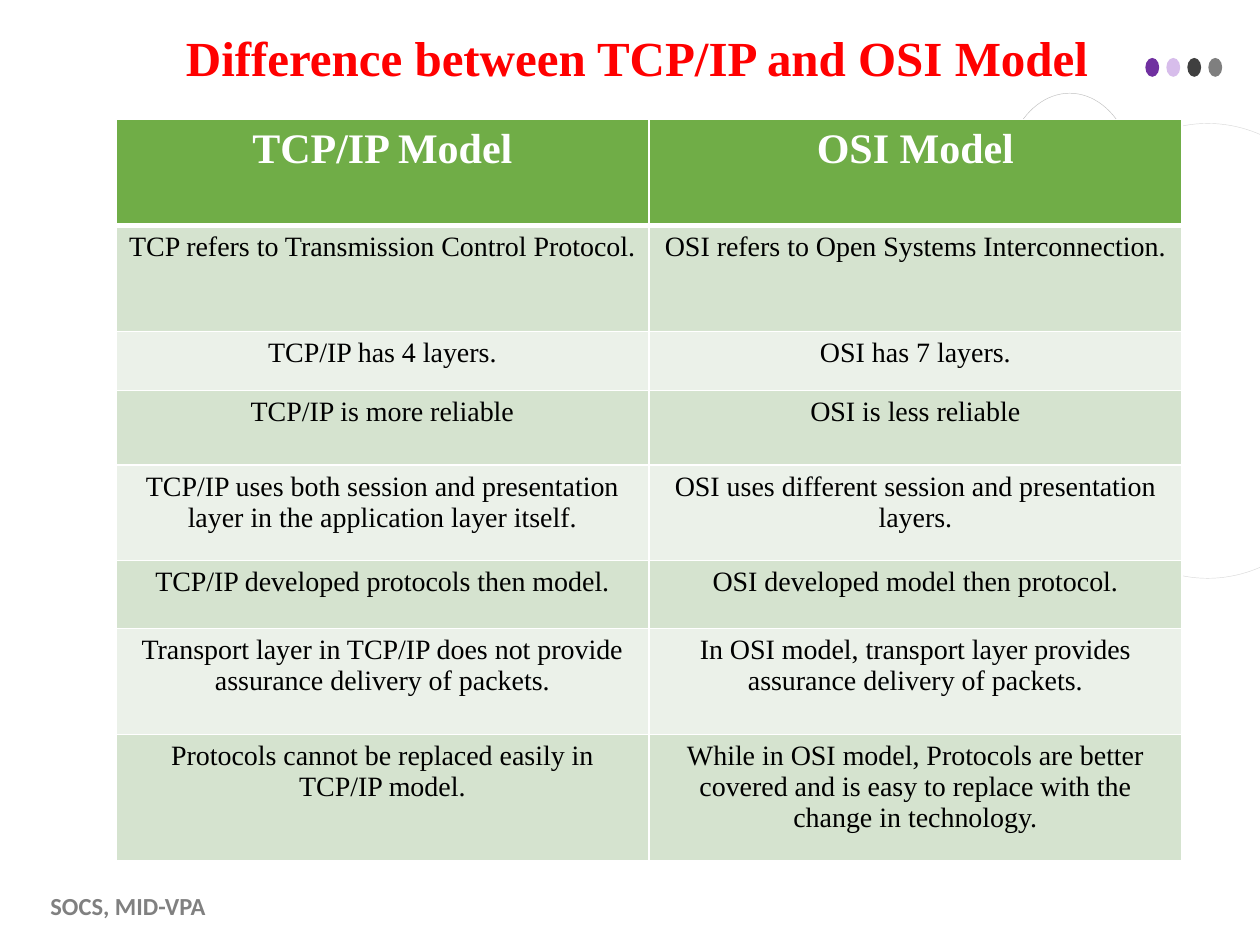
from pptx import Presentation
from pptx.dml.color import RGBColor
from pptx.enum.shapes import MSO_SHAPE
from pptx.enum.text import MSO_ANCHOR, MSO_AUTO_SIZE, PP_ALIGN
from pptx.oxml.ns import qn
from pptx.util import Inches, Pt
from lxml.etree import SubElement as Sub

HUES = {
    "red": "FF0000", "white": "FFFFFF", "black": "000000", "gray": "808080",
    "head": "70AD47", "dark": "D5E3CF", "light": "EBF1E9",
    "plum": "7030A0", "lilac": "C7A2E3", "coal": "404040", "ash": "7F7F7F",
    "pale": "D9D9D9", "rim": "BFBFBF",
}
SERIF = "Times New Roman"
STYLES = {
    "title": {"name": SERIF, "size": Pt(28), "bold": True},
    "foot": {"name": "Calibri", "size": Pt(14), "bold": True},
    "head": {"name": SERIF, "size": Pt(24), "bold": True},
    "cell": {"name": SERIF, "size": Pt(16), "bold": False},
}
ROWS = [
    (0.84, "TCP/IP Model", "OSI Model"),
    (0.84, "TCP refers to Transmission Control Protocol.",
     "OSI refers to Open Systems Interconnection."),
    (0.47, "TCP/IP has 4 layers.", "OSI has 7 layers."),
    (0.59, "TCP/IP is more reliable", "OSI is less reliable"),
    (0.76, "TCP/IP uses both session and presentation layer in the "
     "application layer itself.",
     "OSI uses different session and presentation layers."),
    (0.54, "TCP/IP developed protocols then model.",
     "OSI developed model then protocol."),
    (0.84, "Transport layer in TCP/IP does not provide assurance delivery "
     "of packets.",
     "In OSI model, transport layer provides assurance delivery of packets."),
    (1, "Protocols cannot be replaced easily in TCP/IP model.",
     "While in OSI model, Protocols are better covered and is easy to "
     "replace with the change in technology."),
]


def rgb(hue):
    return RGBColor.from_string(HUES[hue])


def write(frame, text, style, hue, align):
    frame.text = text
    para = frame.paragraphs[0]
    para.alignment = align
    font = para.runs[0].font
    for key, val in STYLES[style].items():
        setattr(font, key, val)
    font.color.rgb = rgb(hue)
    return para


def place(shape, box):
    for key, val in zip(("left", "top", "width", "height"), box):
        setattr(shape, key, Inches(val))


def add_oval(slide, box, fill=None, line=None):
    oval = slide.shapes.add_shape(MSO_SHAPE.OVAL, *map(Inches, box))
    oval.shadow.inherit = False
    if fill:
        oval.fill.solid()
        oval.fill.fore_color.rgb = rgb(fill)
    else:
        oval.fill.background()
    if line:
        oval.line.color.rgb = rgb(line)
        oval.line.width = Pt(0.25)
    else:
        oval.line.fill.background()
    return oval


def add_dots(slide, box):
    left, top, width, height = box
    size = 0.11
    hues = ("plum", "lilac", "coal", "ash")
    step = (width - size) / (len(hues) - 1)
    for i, hue in enumerate(hues):
        dot = add_oval(slide, (left + i * step, top, size, height), fill=hue)
        if hue == "lilac":
            tint = dot.fill._xPr.find(".//" + qn("a:srgbClr"))
            Sub(tint, qn("a:alpha"), val="70000")


def set_text(holder, box, text, style, hue, align, anchor, inset):
    place(holder, box)
    frame = holder.text_frame
    frame.word_wrap = True
    frame.auto_size = MSO_AUTO_SIZE.NONE
    frame.vertical_anchor = anchor
    for side in ("left", "right", "top", "bottom"):
        setattr(frame, "margin_" + side, Inches(inset))
    para = write(frame, text, style, hue, align)
    para.line_spacing = 0.9
    para.space_before = Pt(0)
    return para


def set_edge(cell, side, width):
    line = Sub(cell._tc.get_or_add_tcPr(), qn("a:" + side), w=str(Pt(width)))
    fill = Sub(line, qn("a:solidFill"))
    Sub(fill, qn("a:srgbClr"), val=HUES["white"])


def add_grid(slide, box):
    table = slide.shapes.add_table(len(ROWS), 2, *map(Inches, box)).table
    for col in table.columns:
        col.width = Inches(box[2] / 2)
    for r, (height, *texts) in enumerate(ROWS):
        table.rows[r].height = Inches(height)
        style, ink, back = (("head", "white", "head") if r == 0 else
                            ("cell", "black", "dark" if r % 2 else "light"))
        for c, text in enumerate(texts):
            cell = table.cell(r, c)
            write(cell.text_frame, text, style, ink, PP_ALIGN.CENTER)
            # A thick rule parts the heading from the rows
            for side in ("lnL", "lnR", "lnT", "lnB"):
                thick = (r, side) in ((0, "lnB"), (1, "lnT"))
                set_edge(cell, side, 3 if thick else 1)
            cell.fill.solid()
            cell.fill.fore_color.rgb = rgb(back)


def main():
    prs = Presentation()
    prs.slide_width, prs.slide_height = Inches(10), Inches(7.5)
    slide = prs.slides.add_slide(prs.slide_layouts[1])

    # Dots and rings
    add_dots(slide, (9.09, 0.46, 0.61, 0.15))
    add_oval(slide, (8.23, 0.98, 2.71, 3.61), line="pale")
    add_oval(slide, (7.97, 0.74, 1.04, 1.39), line="rim")

    # Title and footer
    set_text(slide.shapes.title, (0.92, 0.09, 8.27, 0.6),
             "Difference between TCP/IP and OSI Model", "title", "red",
             PP_ALIGN.CENTER, MSO_ANCHOR.BOTTOM, 0)
    foot = set_text(slide.placeholders[1], (0.3, 7.07, 1.86, 0.27),
                    "SOCS, MID-VPA", "foot", "gray",
                    PP_ALIGN.LEFT, MSO_ANCHOR.MIDDLE, 0)
    props = foot._p.get_or_add_pPr()
    props.set("marL", str(Inches(0.1)))
    props.set("indent", "0")
    Sub(props, qn("a:buNone"))

    # Comparison table
    add_grid(slide, (0.92, 0.95, 8.46, 5.88))
    prs.save("out.pptx")


if __name__ == "__main__":
    main()
